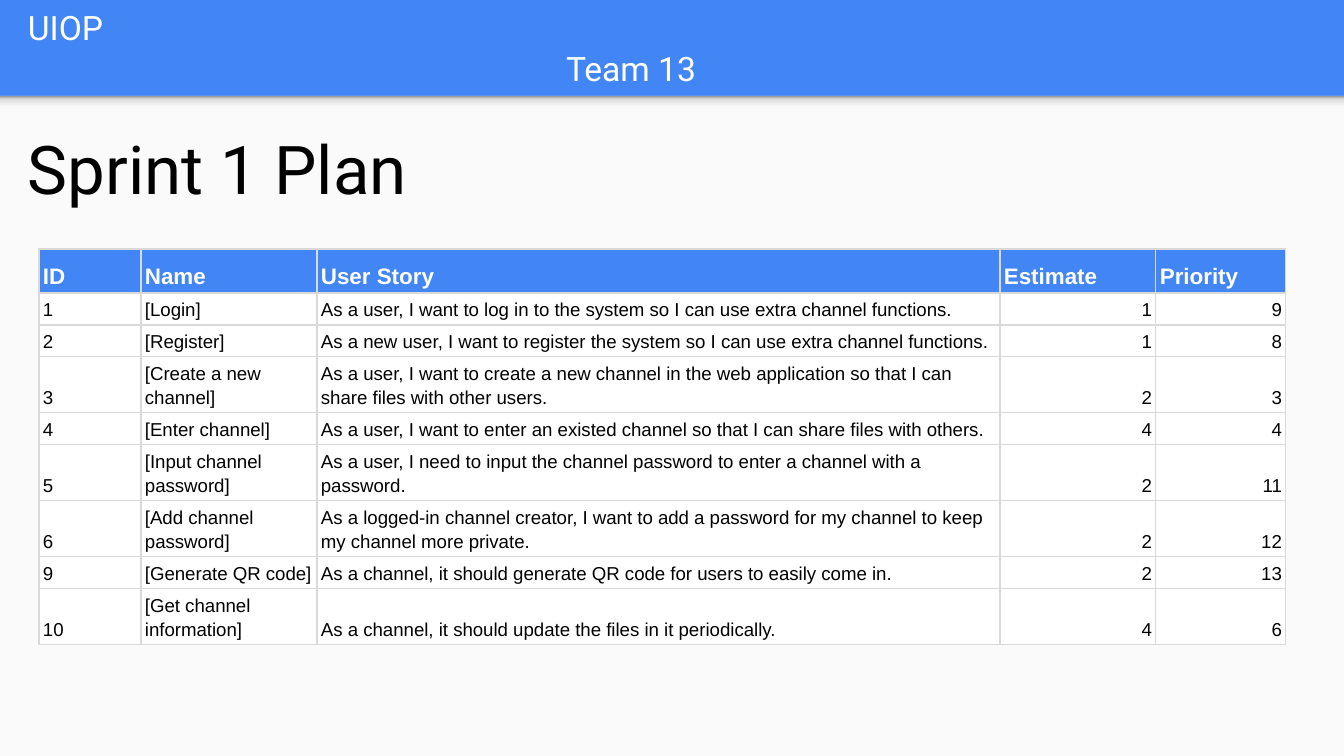
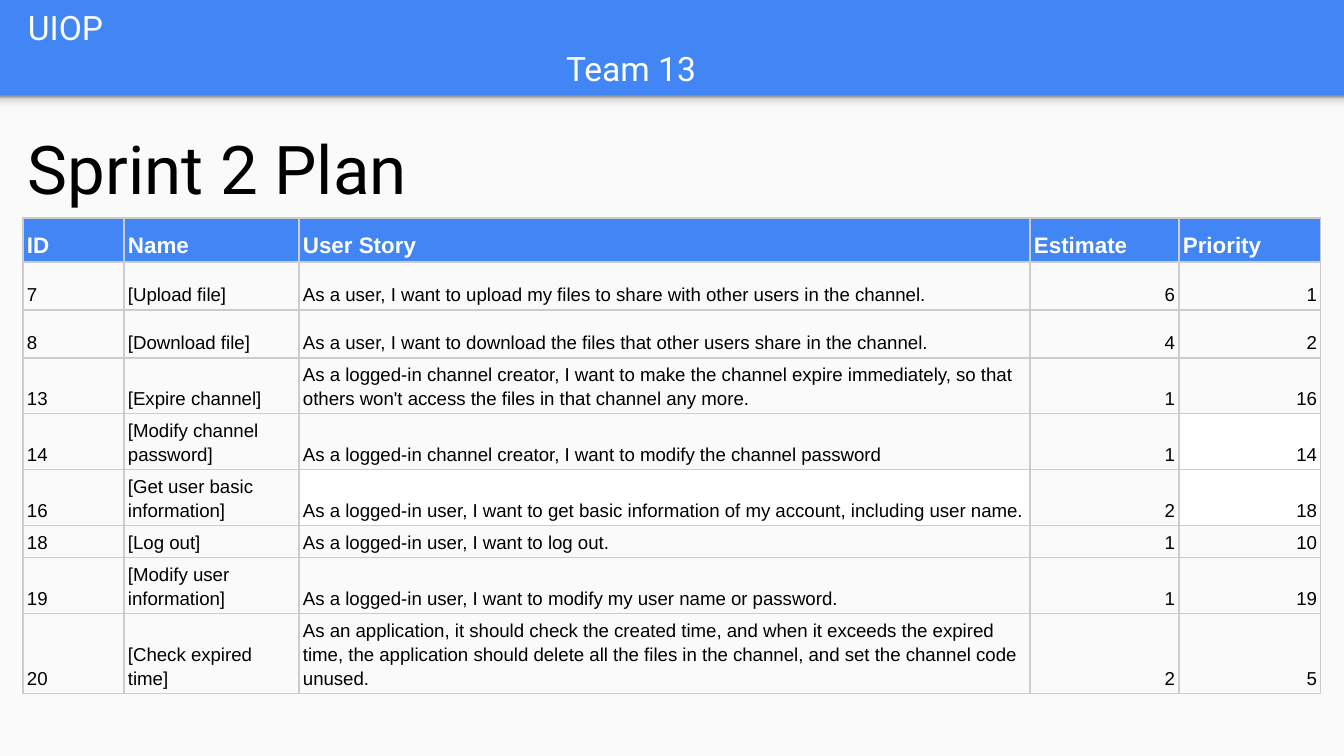
"""Builds the two sprint plan slides of Team 13."""
from lxml.etree import SubElement
from pptx import Presentation
from pptx.dml.color import RGBColor
from pptx.enum.shapes import MSO_SHAPE
from pptx.enum.text import MSO_ANCHOR, MSO_AUTO_SIZE, PP_ALIGN
from pptx.oxml.ns import qn
from pptx.util import Pt

WIDTH, HEIGHT = 1344, 756
SCALE = 9144000 / WIDTH
BAND = 96
INSET = 13
COLORS = {
    "blue": "4285F4",
    "panel": "FAFAFA",
    "white": "FFFFFF",
    "black": "000000",
    "grid1": "D9D9D9",
    "grid2": "CCCCCC",
}
SHADE = [(0, "F9F9F9"), (36, "F9F9F9"), (80, "DEDEDE"), (100, "999999")]
HEADERS = ["ID", "Name", "User Story", "Estimate", "Priority"]
SPRINT_1 = [
    (1, "[Login]", "As a user, I want to log in to the system so I can use extra channel functions.", 1, 9),
    (2, "[Register]", "As a new user, I want to register the system so I can use extra channel functions.", 1, 8),
    (3, "[Create a new channel]",
     "As a user, I want to create a new channel in the web application so that I can share files with other users.",
     2, 3),
    (4, "[Enter channel]",
     "As a user, I want to enter an existed channel so that I can share files with others.", 4, 4),
    (5, "[Input channel password]",
     "As a user, I need to input the channel password to enter a channel with a password.", 2, 11),
    (6, "[Add channel password]",
     "As a logged-in channel creator, I want to add a password for my channel to keep my channel more private.",
     2, 12),
    (9, "[Generate QR code]", "As a channel, it should generate QR code for users to easily come in.", 2, 13),
    (10, "[Get channel information]", "As a channel, it should update the files in it periodically.", 4, 6),
]
SPRINT_2 = [
    (7, "[Upload file]", "As a user, I want to upload my files to share with other users in the channel.", 6, 1),
    (8, "[Download file]", "As a user, I want to download the files that other users share in the channel.", 4, 2),
    (13, "[Expire channel]",
     "As a logged-in channel creator, I want to make the channel expire immediately, "
     "so that others won't access the files in that channel any more.", 1, 16),
    (14, "[Modify channel password]", "As a logged-in channel creator, I want to modify the channel password", 1, 14),
    (16, "[Get user basic information]",
     "As a logged-in user, I want to get basic information of my account, including user name.", 2, 18),
    (18, "[Log out]", "As a logged-in user, I want to log out.", 1, 10),
    (19, "[Modify user information]", "As a logged-in user, I want to modify my user name or password.", 1, 19),
    (20, "[Check expired time]",
     "As an application, it should check the created time, and when it exceeds the expired time, "
     "the application should delete all the files in the channel, and set the channel code unused.", 2, 5),
]


def px(n):
    """Turn pixels into EMU."""
    return round(n * SCALE)


def rgb(name):
    """Look up a colour by name."""
    return RGBColor.from_string(COLORS[name])


def write(p, text, size=18, color="black", font="Roboto", bold=False,
          align=PP_ALIGN.LEFT, spacing=None, indent=0):
    """Add a formatted run to a paragraph."""
    p.alignment = align
    p.line_spacing = spacing
    if indent:
        p_pr = p._p.get_or_add_pPr()
        p_pr.set("marL", str(px(indent)))
        p_pr.set("indent", "0")
    r = p.add_run()
    r.text = text
    r.font.name = font
    r.font.size = Pt(size)
    r.font.bold = bold
    r.font.color.rgb = rgb(color)


def set_frame(tf, anchor):
    """Give a text frame its wrapping, anchor and insets."""
    tf.word_wrap = True
    tf.auto_size = MSO_AUTO_SIZE.NONE
    tf.vertical_anchor = anchor
    tf.margin_left = tf.margin_right = tf.margin_top = tf.margin_bottom = px(INSET)


def add_panel(slide, height):
    """Add a full-width rectangle below the top band."""
    sp = slide.shapes.add_shape(MSO_SHAPE.RECTANGLE, 0, px(BAND), px(WIDTH), px(height))
    sp.shadow.inherit = False
    sp.line.fill.background()
    sp.fill.solid()
    sp.fill.fore_color.rgb = rgb("panel")
    return sp


def shade(sp):
    """Fill a shape with the soft edge below the band."""
    sp.fill.gradient()
    sp.fill.gradient_angle = 90
    stops = sp._element.spPr.find(qn("a:gradFill")).find(qn("a:gsLst"))
    for gs in list(stops):
        stops.remove(gs)
    for pos, color in SHADE:
        gs = SubElement(stops, qn("a:gs"), pos=str(pos * 1000))
        SubElement(gs, qn("a:srgbClr"), val=color)


def set_title(slide):
    """Fill the title placeholder in the band."""
    sp = slide.shapes.title
    sp.left, sp.top, sp.width, sp.height = px(15), px(3), px(1297), px(89)
    tf = sp.text_frame
    set_frame(tf, MSO_ANCHOR.MIDDLE)
    write(tf.paragraphs[0], "UIOP", color="white")
    write(tf.add_paragraph(), "Team 13", color="white", indent=538)


def add_heading(slide, text):
    """Add the large heading under the band."""
    sp = slide.shapes.add_textbox(px(15), px(114), px(409), px(113))
    set_frame(sp.text_frame, MSO_ANCHOR.TOP)
    write(sp.text_frame.paragraphs[0], text, size=36)


def set_borders(cell, color):
    """Draw thin lines on all four sides of a cell."""
    tc_pr = cell._tc.get_or_add_tcPr()
    for i, side in enumerate(("lnL", "lnR", "lnT", "lnB")):
        ln = SubElement(tc_pr, qn(f"a:{side}"), w=str(Pt(0.75)))
        SubElement(SubElement(ln, qn("a:solidFill")), qn("a:srgbClr"), val=COLORS[color])
        tc_pr.insert(i, ln)


def set_cell(cell, value, fill, grid, **fmt):
    """Write and format one table cell."""
    cell.margin_left = cell.margin_right = cell.margin_top = cell.margin_bottom = px(4)
    cell.vertical_anchor = MSO_ANCHOR.BOTTOM
    write(cell.text_frame.paragraphs[0], str(value), font="Arial", spacing=1.15, **fmt)
    if fill:
        cell.fill.solid()
        cell.fill.fore_color.rgb = rgb(fill)
    else:
        cell.fill.background()
    set_borders(cell, grid)


def add_stories(slide, stories, left, top, widths, heights, grid, fill=None, white=()):
    """Add the table of user stories."""
    frame = slide.shapes.add_table(len(stories) + 1, len(HEADERS), px(left), px(top),
                                   px(sum(widths)), px(sum(heights)))
    table = frame.table
    table.first_row = table.horz_banding = False
    for column, width in zip(table.columns, widths):
        column.width = px(width)
    for row, height in zip(table.rows, heights):
        row.height = px(height)
    for c, header in enumerate(HEADERS):
        set_cell(table.cell(0, c), header, "blue", grid, size=12, color="white", bold=True)
    for r, story in enumerate(stories, 1):
        for c, value in enumerate(story):
            align = PP_ALIGN.RIGHT if c > 2 else PP_ALIGN.LEFT
            cell_fill = "white" if (r, c) in white else fill
            set_cell(table.cell(r, c), value, cell_fill, grid, size=10, align=align)


def add_slide(prs, heading):
    """Add a slide with band, title, panel and heading."""
    slide = prs.slides.add_slide(prs.slide_layouts[5])
    add_panel(slide, HEIGHT - BAND)
    shade(add_panel(slide, 17))
    set_title(slide)
    add_heading(slide, heading)
    return slide


def main():
    """Build and save the presentation."""
    prs = Presentation()
    prs.slide_width, prs.slide_height = px(WIDTH), px(HEIGHT)
    background = prs.slide_master.background.fill
    background.solid()
    background.fore_color.rgb = rgb("blue")
    add_stories(add_slide(prs, "Sprint 1 Plan"), SPRINT_1, 39, 249,
                [102, 176, 683, 156, 130], [44] + [28] * 8, "grid1", fill="white")
    add_stories(add_slide(prs, "Sprint 2 Plan"), SPRINT_2, 23, 218,
                [101, 175, 731, 149, 142], [44] + [48] * 3 + [28] * 4 + [48], "grid2",
                white={(4, 4), (5, 2), (5, 4)})
    prs.save("out.pptx")


if __name__ == "__main__":
    main()
